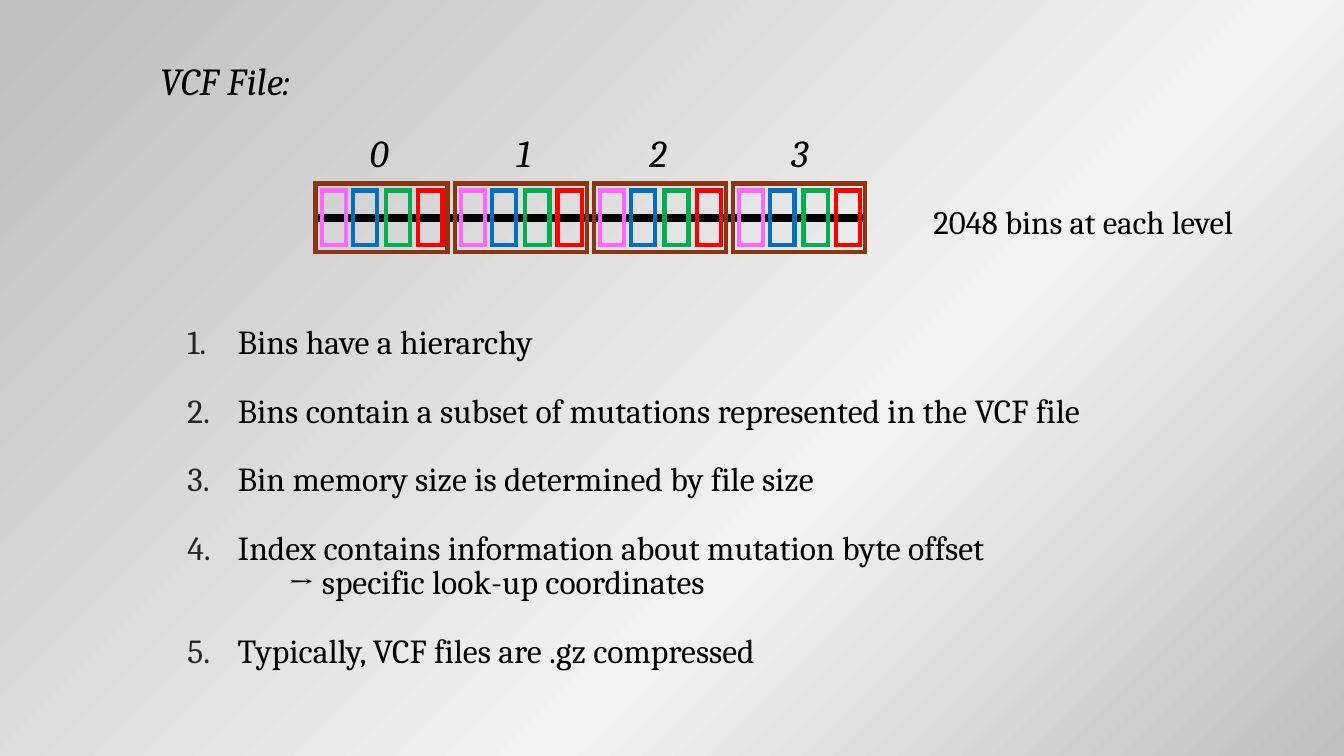
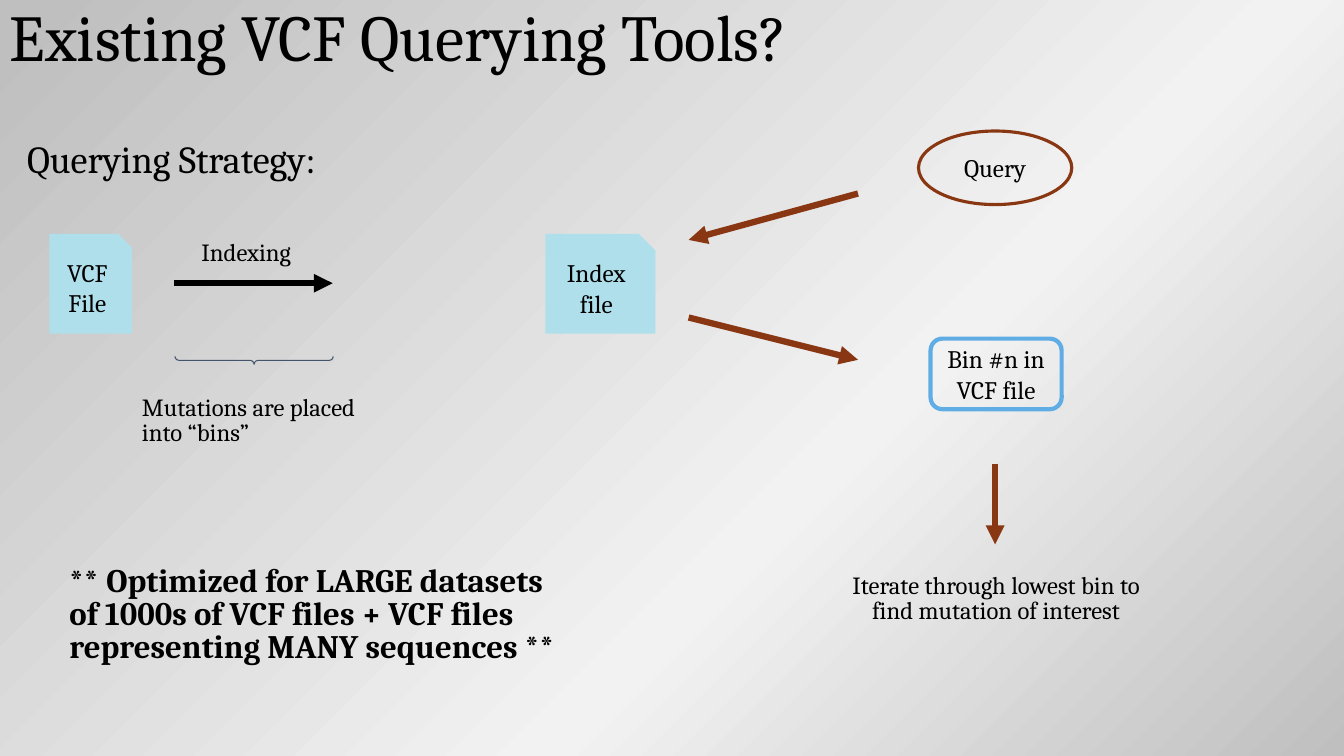
from lxml.etree import SubElement
from pptx import Presentation
from pptx.dml.color import RGBColor
from pptx.enum.shapes import MSO_CONNECTOR as Connector, MSO_SHAPE as Shape
from pptx.enum.text import MSO_ANCHOR as Anchor, PP_ALIGN as Align
from pptx.oxml import parse_xml
from pptx.oxml.ns import nsdecls, qn
from pptx.util import Inches, Pt

BLACK, BROWN, FILE_BLUE = "000000", "893713", "AFDFEB"
BIN_BLUE, BRACE_GREY, NUMBER_GREY = "5FADE4", "44546A", "262626"
SUB_BIN_COLOURS = ("FF66FF", "0070C0", "00B050", "FF0000")
BACKDROP_STOPS = ((0, "BFBFBF"), (38, "F2F2F2"), (98, "BFBFBF"))

TITLE = {"size": Pt(46.8)}
HEADING = {"size": Pt(27.3)}
HEADING_ITALIC = {"size": Pt(27.3), "italic": True}
LIST_ITEM = {"size": Pt(24)}
REMARK = {"size": Pt(23.4)}
REMARK_BOLD = {"size": Pt(23.4), "bold": True}
NODE = {"size": Pt(18)}
CAPTION = {"size": Pt(17.6)}


def rgb(colour):
    return RGBColor.from_string(colour)


def apply(target, values):
    for attribute, value in values.items():
        setattr(target, attribute, value)


def set_backdrop(master):
    master.background.fill.solid()
    holder = master.element.find(".//" + qn("p:bgPr"))
    stops = "".join(
        f'<a:gs pos="{percent * 1000}"><a:srgbClr val="{colour}"/></a:gs>'
        for percent, colour in BACKDROP_STOPS
    )
    gradient = parse_xml(
        f'<a:gradFill {nsdecls("a")} rotWithShape="1"><a:gsLst>{stops}</a:gsLst>'
        '<a:path path="circle"><a:fillToRect l="100000" t="100000"/></a:path>'
        '<a:tileRect r="-100000" b="-100000"/></a:gradFill>'
    )
    holder.replace(holder.find(qn("a:solidFill")), gradient)


def write(paragraph, words, font, **layout):
    apply(paragraph, layout)
    run = paragraph.add_run()
    run.text = words
    apply(run.font, {"name": "Cambria", **font})
    run.font.color.rgb = rgb(BLACK)


def add_frame(slide, box, anchor=Anchor.TOP):
    frame = slide.shapes.add_textbox(*map(Inches, box)).text_frame
    apply(frame, {"word_wrap": True, "vertical_anchor": anchor})
    return frame


def add_label(slide, box, words, font, align=Align.LEFT, anchor=Anchor.TOP):
    frame = add_frame(slide, box, anchor)
    write(frame.paragraphs[0], words, font, alignment=align, line_spacing=0.85)


def draw_outline(shape, colour, width):
    shape.line.color.rgb = rgb(colour)
    shape.line.width = Pt(width)
    outline = shape.element.spPr.find(qn("a:ln"))
    SubElement(outline, qn("a:miter"), lim="800000")
    return outline


def add_figure(slide, kind, box, fill=None, outline=None, words=None):
    figure = slide.shapes.add_shape(kind, *map(Inches, box))
    figure.shadow.inherit = False
    if fill:
        figure.fill.solid()
        figure.fill.fore_color.rgb = rgb(fill)
    else:
        figure.fill.background()
    if outline:
        draw_outline(figure, *outline)
    else:
        figure.line.fill.background()
    if words:
        apply(figure.text_frame, {"word_wrap": True, "vertical_anchor": Anchor.MIDDLE})
        write(figure.text_frame.paragraphs[0], words, NODE, alignment=Align.CENTER)
    return figure


def add_line(slide, start, end, colour, width, arrow=False):
    line = slide.shapes.add_connector(Connector.STRAIGHT, *map(Inches, start + end))
    outline = draw_outline(line, colour, width)
    if arrow:
        SubElement(outline, qn("a:tailEnd"), type="triangle")
    SubElement(line.element.spPr, qn("a:effectLst"))


def indent(paragraph, left, hanging=0):
    properties = paragraph._p.get_or_add_pPr()
    properties.set("marL", str(Inches(left)))
    properties.set("indent", str(-Inches(hanging)))
    return properties


def add_numbered_list(slide, box, items):
    frame = add_frame(slide, box)
    for number, (item, detail) in enumerate(items, 1):
        paragraph = frame.paragraphs[0] if number == 1 else frame.add_paragraph()
        properties = indent(paragraph, 0.5, 0.5)
        colour = SubElement(properties, qn("a:buClr"))
        SubElement(colour, qn("a:srgbClr"), val=NUMBER_GREY)
        SubElement(properties, qn("a:buAutoNum"), type="arabicPeriod", startAt=str(number))
        gap = Pt(0 if number == 1 else 24.4)
        write(paragraph, item, LIST_ITEM, line_spacing=0.85, space_before=gap)
        if detail:
            follow_up = frame.add_paragraph()
            indent(follow_up, 1)
            write(follow_up, detail, LIST_ITEM, line_spacing=0.85)


def build_bins_slide(slide):
    add_line(slide, (3.13, 2.16), (8.58, 2.16), BLACK, 6)
    add_label(slide, (1.49, 0.59, 1.65, 0.52), "VCF File:", HEADING_ITALIC)
    for index, label_left in enumerate((3.57, 5.02, 6.34, 7.75)):
        bin_left = 3.13 + 1.38 * index
        add_figure(slide, Shape.RECTANGLE, (bin_left, 1.82, 1.31, 0.68), outline=(BROWN, 3))
        add_label(slide, (label_left, 1.3, 0.4, 0.52), str(index), HEADING_ITALIC)
        for offset, colour in zip((0.06, 0.37, 0.7, 1.02), SUB_BIN_COLOURS):
            sub_bin = (bin_left + offset, 1.89, 0.24, 0.54)
            add_figure(slide, Shape.RECTANGLE, sub_bin, outline=(colour, 3))
    add_label(slide, (9.16, 2.01, 3.59, 0.49), "2048 bins at each level", REMARK)
    add_numbered_list(slide, (1.76, 3.2, 9.73, 3.55), (
        ("Bins have a hierarchy", None),
        ("Bins contain a subset of mutations represented in the VCF file", None),
        ("Bin memory size is determined by file size", None),
        ("Index contains information about mutation byte offset",
         "→ specific look-up coordinates"),
        ("Typically, VCF files are .gz compressed", None),
    ))


def build_query_slide(slide):
    add_label(slide, (0, 0, 9.47, 0.82), "Existing VCF Querying Tools?", TITLE,
              anchor=Anchor.MIDDLE)
    add_label(slide, (0.17, 1.36, 3.5, 0.52), "Querying Strategy:", HEADING)

    for left, width, words in ((0.49, 0.82, "VCF File"), (5.41, 1.09, "Index file")):
        add_figure(slide, Shape.SNIP_1_RECTANGLE, (left, 2.32, width, 0.99),
                   fill=FILE_BLUE, words=words)
    add_figure(slide, Shape.OVAL, (9.11, 1.3, 1.52, 0.73),
               outline=(BROWN, 2.25), words="Query")
    add_figure(slide, Shape.ROUNDED_RECTANGLE, (9.23, 3.36, 1.3, 0.7),
               outline=(BIN_BLUE, 3), words="Bin #n in VCF file")
    brace = add_figure(slide, Shape.RIGHT_BRACE, (2.48, 2.79, 0.08, 1.57),
                       outline=(BRACE_GREY, 0.75))
    brace.rotation = 90
    brace.adjustments[0] = brace.adjustments[1] = 0.5

    for start, end, colour in (
        ((1.73, 2.81), (3.3, 2.81), BLACK),
        ((8.51, 1.92), (6.83, 2.38), BROWN),
        ((6.83, 3.15), (8.51, 3.57), BROWN),
        ((9.87, 4.6), (9.87, 5.4), BROWN),
    ):
        add_line(slide, start, end, colour, 4.5, arrow=True)

    add_label(slide, (1.9, 2.35, 1.23, 0.41), "Indexing", CAPTION)
    add_label(slide, (1.31, 3.88, 2.68, 0.7), "Mutations are placed into “bins”", CAPTION)
    add_label(slide, (8.28, 5.65, 3.2, 0.82),
              "Iterate through lowest bin to find mutation of interest",
              CAPTION, align=Align.CENTER)
    add_label(slide, (0.59, 5.56, 5.08, 1.28),
              "** Optimized for LARGE datasets of 1000s of VCF files + VCF files "
              "representing MANY sequences **", REMARK_BOLD)


def main():
    deck = Presentation()
    apply(deck, {"slide_width": Inches(13.33), "slide_height": Inches(7.5)})
    set_backdrop(deck.slide_master)
    for build in (build_bins_slide, build_query_slide):
        build(deck.slides.add_slide(deck.slide_layouts[6]))
    deck.save("out.pptx")


if __name__ == "__main__":
    main()
